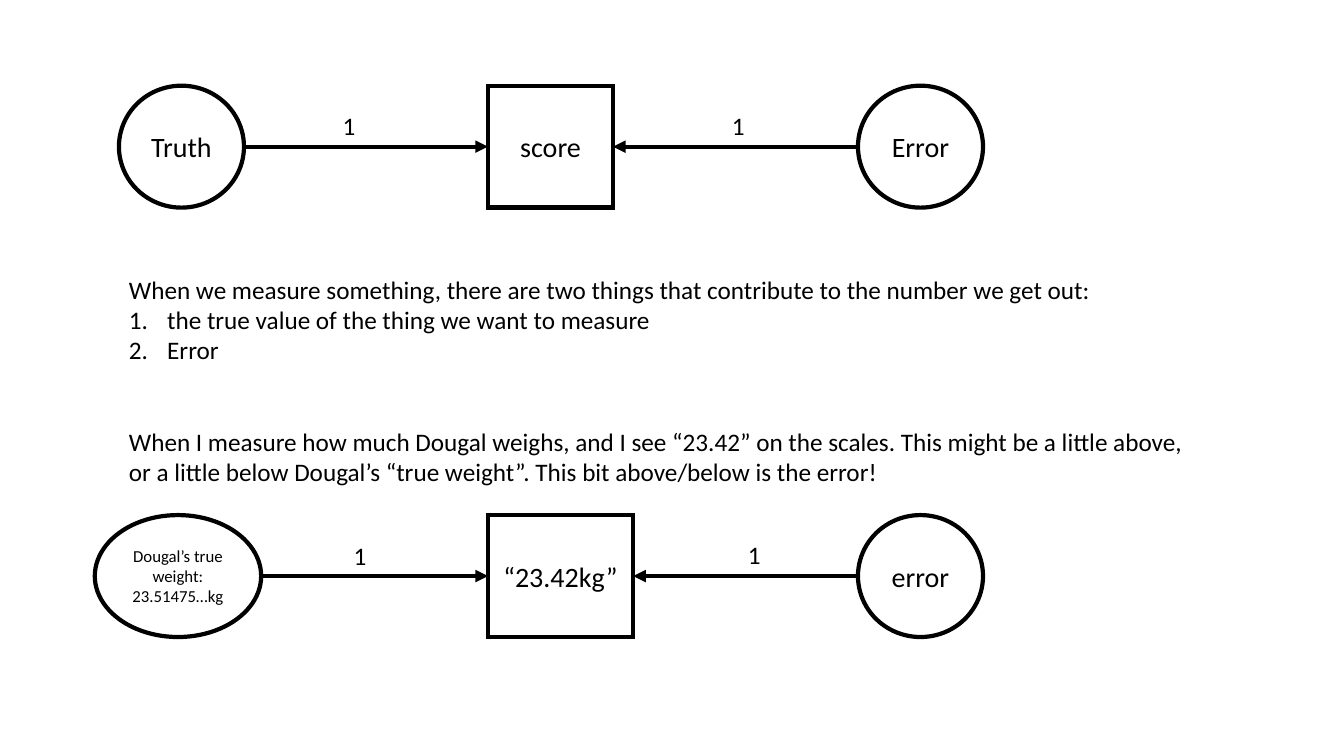
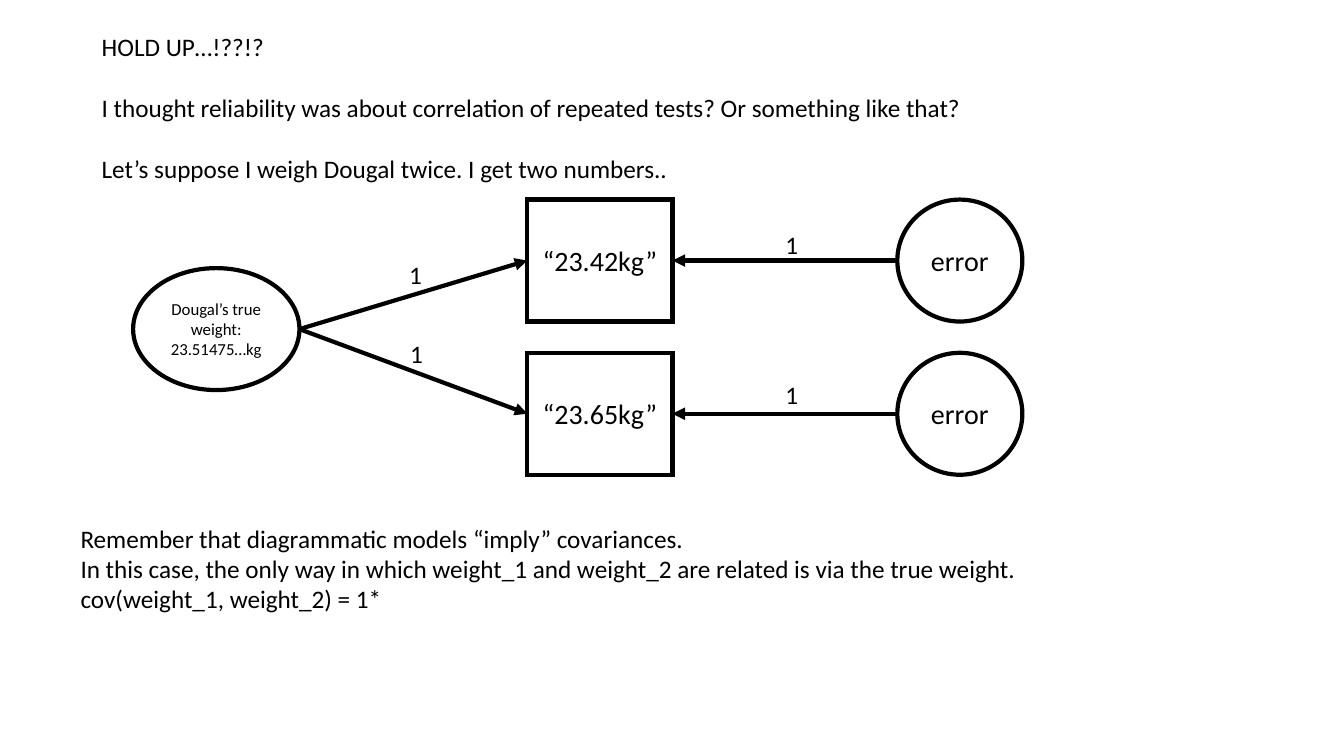
from lxml import etree
from pptx import Presentation
from pptx.dml.color import RGBColor
from pptx.enum.shapes import MSO_CONNECTOR, MSO_SHAPE
from pptx.enum.text import MSO_ANCHOR, MSO_AUTO_SIZE, PP_ALIGN
from pptx.oxml.ns import qn
from pptx.util import Pt

PX = 9144
BLACK = RGBColor(0x00, 0x00, 0x00)
RECT, OVAL = MSO_SHAPE.RECTANGLE, MSO_SHAPE.OVAL
STRAIGHT = MSO_CONNECTOR.STRAIGHT
MIDDLE, CENTER = MSO_ANCHOR.MIDDLE, PP_ALIGN.CENTER
GROW = MSO_AUTO_SIZE.SHAPE_TO_FIT_TEXT

BODY = {"name": "Calibri", "size": Pt(18)}
NODE = {"name": "Calibri", "size": Pt(20)}
SMALL = {"name": "Calibri", "size": Pt(12)}
LINE_WIDTH = Pt(3)
BLANK_LINE = Pt(22)
NUMBER_INDENT = 38
NODE_HEIGHT = 121
LABEL_WIDTH, LABEL_HEIGHT = 33, 40
CIRCLE_WIDTH, READING_WIDTH, TRUTH_WIDTH = 124, 144, 165

TRUE_WEIGHT = ["Dougal’s true weight:", "23.51475…kg"]

SLIDES = [
    {
        "passages": [
            (118, 267, 1085, 222, [
                ("When we measure something, there are two things that contribute to the number we get out:", 0, False),
                ("the true value of the thing we want to measure", 0, True),
                ("Error", 0, True),
                ("When I measure how much Dougal weighs, and I see “23.42” on the scales. This might be a little above,", 2, False),
                ("or a little below Dougal’s “true weight”. This bit above/below is the error!", 0, False),
            ]),
        ],
        "nodes": {
            "truth": (OVAL, 118, 85, CIRCLE_WIDTH, ["Truth"], NODE),
            "score": (RECT, 484, 85, CIRCLE_WIDTH, ["score"], NODE),
            "score error": (OVAL, 851, 85, CIRCLE_WIDTH, ["Error"], NODE),
            "true weight": (OVAL, 94, 511, TRUTH_WIDTH, TRUE_WEIGHT, SMALL),
            "weight": (RECT, 484, 511, READING_WIDTH, ["“23.42kg”"], NODE),
            "weight error": (OVAL, 851, 511, CIRCLE_WIDTH, ["error"], NODE),
        },
        "paths": [
            ("truth", "score", 330, 105),
            ("score error", "score", 716, 105),
            ("true weight", "weight", 341, 531),
            ("weight error", "weight", 732, 530),
        ],
    },
    {
        "passages": [
            (91, 26, 882, 162, [
                ("HOLD UP…!??!?", 0, False),
                ("I thought reliability was about correlation of repeated tests? Or something like that?", 1, False),
                ("Let’s suppose I weigh Dougal twice. I get two numbers..", 1, False),
            ]),
            (70, 514, 998, 101, [
                ("Remember that diagrammatic models “imply” covariances.", 0, False),
                ("In this case, the only way in which weight_1 and weight_2 are related is via the true weight.", 0, False),
                ("cov(weight_1, weight_2) = 1*", 0, False),
            ]),
        ],
        "nodes": {
            "true weight": (OVAL, 132, 266, TRUTH_WIDTH, TRUE_WEIGHT, SMALL),
            "weight 1": (RECT, 523, 198, READING_WIDTH, ["“23.42kg”"], NODE),
            "error 1": (OVAL, 890, 198, CIRCLE_WIDTH, ["error"], NODE),
            "weight 2": (RECT, 523, 350, READING_WIDTH, ["“23.65kg”"], NODE),
            "error 2": (OVAL, 890, 350, CIRCLE_WIDTH, ["error"], NODE),
        },
        "paths": [
            ("true weight", "weight 1", 396, 252),
            ("error 1", "weight 1", 769, 223),
            ("true weight", "weight 2", 397, 331),
            ("error 2", "weight 2", 769, 371),
        ],
    },
]


def format_font(paragraph, style):
    for attribute, value in style.items():
        setattr(paragraph.font, attribute, value)
    paragraph.font.color.rgb = BLACK


def add_paragraph(frame, index, text):
    paragraph = frame.add_paragraph() if index else frame.paragraphs[0]
    paragraph.add_run().text = text
    return paragraph


deck = Presentation()
deck.slide_width, deck.slide_height = 1333 * PX, 750 * PX
blank_layout = deck.slide_layouts[6]

for content in SLIDES:
    slide = deck.slides.add_slide(blank_layout)

    for left, top, width, height, lines in content["passages"]:
        box = slide.shapes.add_textbox(left * PX, top * PX, width * PX, height * PX)
        frame = box.text_frame
        frame.word_wrap, frame.auto_size = True, GROW
        for index, (text, blank_lines, numbered) in enumerate(lines):
            paragraph = add_paragraph(frame, index, text)
            if blank_lines:
                paragraph.space_before = blank_lines * BLANK_LINE
            if numbered:
                properties = paragraph._p.get_or_add_pPr()
                properties.set("marL", str(NUMBER_INDENT * PX))
                properties.set("indent", str(-NUMBER_INDENT * PX))
                etree.SubElement(properties, qn("a:buFont"), typeface="+mj-lt")
                etree.SubElement(properties, qn("a:buAutoNum"), type="arabicPeriod")
            format_font(paragraph, BODY)

    nodes = {}
    for key, (outline, left, top, width, lines, style) in content["nodes"].items():
        node = slide.shapes.add_shape(outline, left * PX, top * PX, width * PX, NODE_HEIGHT * PX)
        node.shadow.inherit = False
        node.fill.background()
        node.line.color.rgb = BLACK
        node.line.width = LINE_WIDTH
        etree.SubElement(node.line._get_or_add_ln(), qn("a:miter"), lim="800000")
        node.text_frame.word_wrap = True
        node.text_frame.vertical_anchor = MIDDLE
        for index, text in enumerate(lines):
            paragraph = add_paragraph(node.text_frame, index, text)
            paragraph.alignment = CENTER
            format_font(paragraph, style)
        nodes[key] = node

    for cause, effect, label_left, label_top in content["paths"]:
        start, end = nodes[cause], nodes[effect]
        rightward = start.left < end.left
        start_x = start.left + start.width if rightward else start.left
        end_x = end.left if rightward else end.left + end.width
        arrow = slide.shapes.add_connector(
            STRAIGHT, start_x, start.top + start.height // 2, end_x, end.top + end.height // 2)
        arrow.line.color.rgb = BLACK
        arrow.line.width = LINE_WIDTH
        etree.SubElement(arrow.line._get_or_add_ln(), qn("a:tailEnd"), type="triangle")
        etree.SubElement(arrow._element.spPr, qn("a:effectLst"))

        label = slide.shapes.add_textbox(
            label_left * PX, label_top * PX, LABEL_WIDTH * PX, LABEL_HEIGHT * PX)
        label.text_frame.word_wrap, label.text_frame.auto_size = False, GROW
        format_font(add_paragraph(label.text_frame, 0, "1"), BODY)

deck.save("out.pptx")
